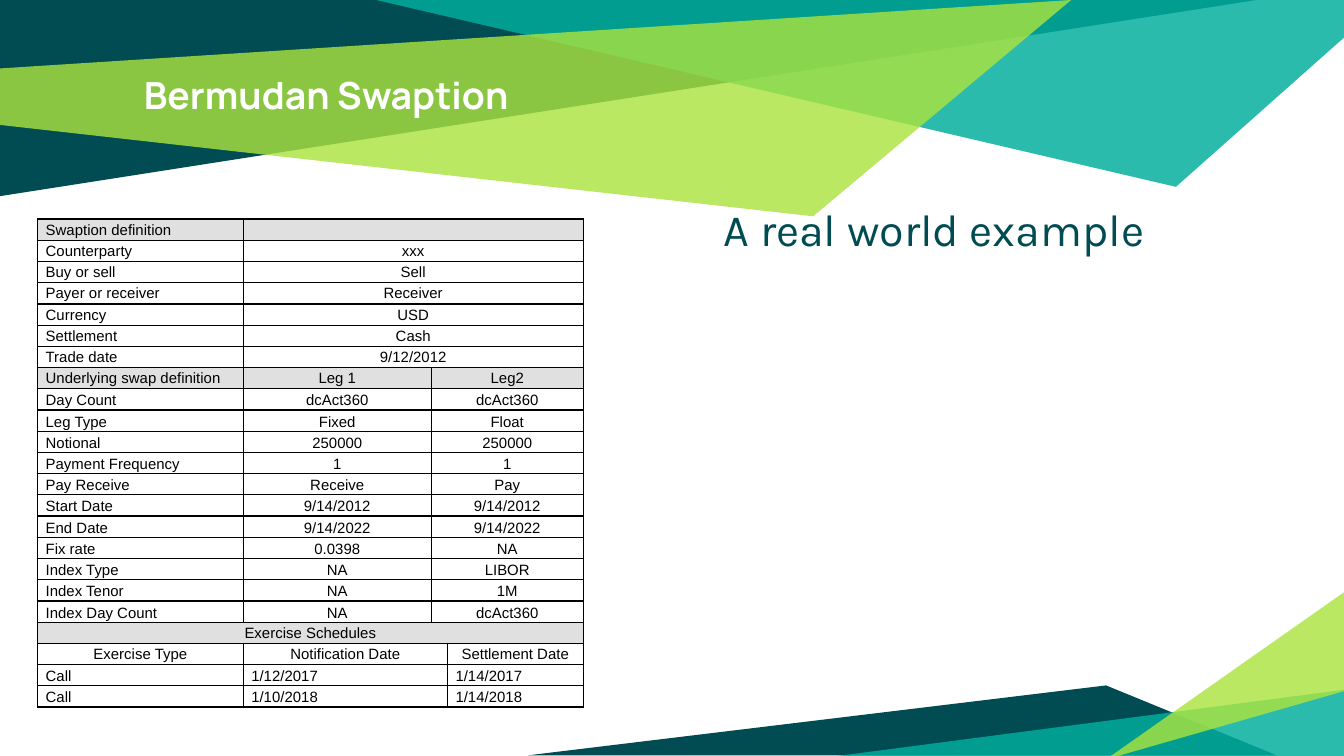
from dataclasses import dataclass
from lxml import etree
from pptx import Presentation
from pptx import util as u
from pptx.dml.color import RGBColor
from pptx.enum import text
from pptx.oxml import ns

LEFT, MID = text.PP_ALIGN.LEFT, text.PP_ALIGN.CENTER
TOP, HALF = text.MSO_ANCHOR.TOP, text.MSO_ANCHOR.MIDDLE


@dataclass(frozen=True)
class Theme:
    navy: str = "004C52"
    teal: str = "00AE9D"
    lime: str = "ABE33F"
    white: str = "FFFFFF"
    black: str = "000000"
    gray: str = "E0E0E0"
    head: tuple = ("Manrope", 20)
    body: tuple = ("Karla", 24)
    cell: tuple = ("Arial", 8)
    rule: float = 0.75


def unit(n):
    """Grid units to a length: the slide is 100 columns by 56.25 rows."""
    return u.Inches(n / 10)


def child(node, tag, **attrs):
    return etree.SubElement(node, ns.qn(tag), **attrs)


class Deck:
    def __init__(self, theme):
        self.theme = theme
        self.file = Presentation()
        self.file.slide_width, self.file.slide_height = unit(100), unit(56.25)
        self.slide = self.file.slides.add_slide(self.file.slide_layouts[5])

    def style(self, para, face, color, align=LEFT, bold=False):
        para.alignment = align
        for run in para.runs:
            run.font.name, run.font.size = face[0], u.Pt(face[1])
            run.font.bold = bold
            run.font.color.rgb = RGBColor.from_string(color)

    def facet(self, color, points, alpha=100):
        """Draw a closed, flat-coloured polygon."""
        spots = [(unit(x), unit(y)) for x, y in points]
        pen = self.slide.shapes.build_freeform(*spots[0], scale=1.0)
        pen.add_line_segments(spots[1:], close=True)
        shape = pen.convert_to_shape()
        shape.shadow.inherit = False
        shape.line.fill.background()
        shape.fill.solid()
        shape.fill.fore_color.rgb = RGBColor.from_string(color)
        if alpha < 100:
            tint = shape.fill._xPr.find(".//" + ns.qn("a:srgbClr"))
            child(tint, "a:alpha", val=str(alpha * 1000))

    def frame(self, shape, words):
        box = shape.text_frame
        box.text, box.word_wrap = words, True
        box.auto_size, box.vertical_anchor = text.MSO_AUTO_SIZE.NONE, TOP
        box.margin_left = box.margin_right = unit(1)
        box.margin_top = box.margin_bottom = unit(1)
        return box.paragraphs[0]

    def title(self, words, x, y, w, h):
        shape = self.slide.shapes.title
        shape.left, shape.top = unit(x), unit(y)
        shape.width, shape.height = unit(w), unit(h)
        # Bring the title in front of the facets.
        self.slide.shapes._spTree.append(shape._element)
        para = self.frame(shape, words)
        self.style(para, self.theme.head, self.theme.white, bold=True)

    def note(self, words, x, y, w, h):
        shape = self.slide.shapes.add_textbox(unit(x), unit(y), unit(w), unit(h))
        para = self.frame(shape, words)
        para._p.get_or_add_pPr().set("marL", str(unit(0.8)))
        self.style(para, self.theme.body, self.theme.navy, MID)

    def border(self, cell):
        props = cell._tc.get_or_add_tcPr()
        for side in "LRTB":
            line = child(props, "a:ln" + side, w=str(u.Pt(self.theme.rule)))
            child(child(line, "a:solidFill"), "a:srgbClr", val=self.theme.black)

    def blank(self, cell, shade, anchor):
        """Give a cell its border, fill, insets and small type."""
        self.border(cell)
        if shade:
            cell.fill.solid()
            cell.fill.fore_color.rgb = RGBColor.from_string(self.theme.gray)
        else:
            cell.fill.background()
        cell.margin_left = cell.margin_right = unit(0.6)
        cell.margin_top = cell.margin_bottom = 0
        cell.vertical_anchor = anchor
        para = cell.text_frame.paragraphs[0]
        child(para._p, "a:endParaRPr", sz=str(self.theme.cell[1] * 100))

    def table(self, blocks, x, y, cols, h):
        rows = [(block, row) for block in blocks for row in block[-1]]
        grid = self.slide.shapes.add_table(
            len(rows), len(cols), unit(x), unit(y), unit(sum(cols)), unit(h)).table
        grid.first_row = grid.horz_banding = False
        for col, wide in zip(grid.columns, cols):
            col.width = unit(wide)
        for r, ((starts, aligns, shade, anchor, _), row) in enumerate(rows):
            grid.rows[r].height = unit(h / len(rows))
            for cell in grid.rows[r].cells:
                self.blank(cell, shade, anchor)
            ends = starts[1:] + (len(cols),)
            for start, end, align, words in zip(starts, ends, aligns, row.split("|")):
                cell = grid.cell(r, start)
                if end - start > 1:
                    cell.merge(grid.cell(r, end - 1))
                if words:
                    para = cell.text_frame.paragraphs[0]
                    para.text, para.line_spacing = words, 1.15
                    self.style(para, self.theme.cell, self.theme.black, align)


# Each block: first column of each cell, alignments, shaded, anchor, rows.
WIDE, LEGS, DATES = (0, 1), (0, 1, 2), (0, 1, 3)
SIDE = (LEFT, MID, MID)
BLOCKS = [
    (WIDE, SIDE, True, TOP, ["Swaption definition|"]),
    (WIDE, SIDE, False, TOP, [
        "Counterparty|xxx", "Buy or sell|Sell", "Payer or receiver|Receiver",
        "Currency|USD", "Settlement|Cash", "Trade date|9/12/2012"]),
    (LEGS, SIDE, True, TOP, ["Underlying swap definition|Leg 1|Leg2"]),
    (LEGS, SIDE, False, HALF, [
        "Day Count|dcAct360|dcAct360", "Leg Type|Fixed|Float",
        "Notional|250000|250000", "Payment Frequency|1|1",
        "Pay Receive|Receive|Pay", "Start Date|9/14/2012|9/14/2012",
        "End Date|9/14/2022|9/14/2022", "Fix rate|0.0398|NA",
        "Index Type|NA|LIBOR", "Index Tenor|NA|1M",
        "Index Day Count|NA|dcAct360"]),
    ((0,), (MID,), True, TOP, ["Exercise Schedules"]),
    (DATES, (MID,) * 3, False, TOP,
     ["Exercise Type|Notification Date|Settlement Date"]),
    (DATES, (LEFT,) * 3, False, HALF,
     ["Call|1/12/2017|1/14/2017", "Call|1/10/2018|1/14/2018"]),
]


def main():
    theme = Theme()
    deck = Deck(theme)
    deck.facet(theme.navy, [(0, 0), (0, 14.6), (93.5, 0)])
    deck.facet(theme.teal, [(28, 0), (87.5, 13.9), (100, 2.8), (100, 0)], 83)
    deck.facet(theme.lime, [(-0.1, 5.1), (0, 9.3), (60.5, 16.1), (79.7, 0)], 81)
    deck.facet(theme.navy, [(39.3, 56.2), (95, 56.2), (82.3, 51)])
    deck.facet(theme.teal, [(100.2, 51.3), (100.2, 56.5), (60.4, 56.5)], 83)
    deck.facet(theme.lime, [(100.1, 51.4), (100.1, 44), (82.3, 56.5)], 81)
    deck.title("Bermudan Swaption", 9.7, 4.4, 80.6, 6.4)
    deck.note("A real world example", 46.1, 14, 46, 37)
    deck.table(BLOCKS, 2.8, 16.3, (15.3, 14, 1.2, 10.1), 36.4)
    deck.file.save("out.pptx")


if __name__ == "__main__":
    main()
